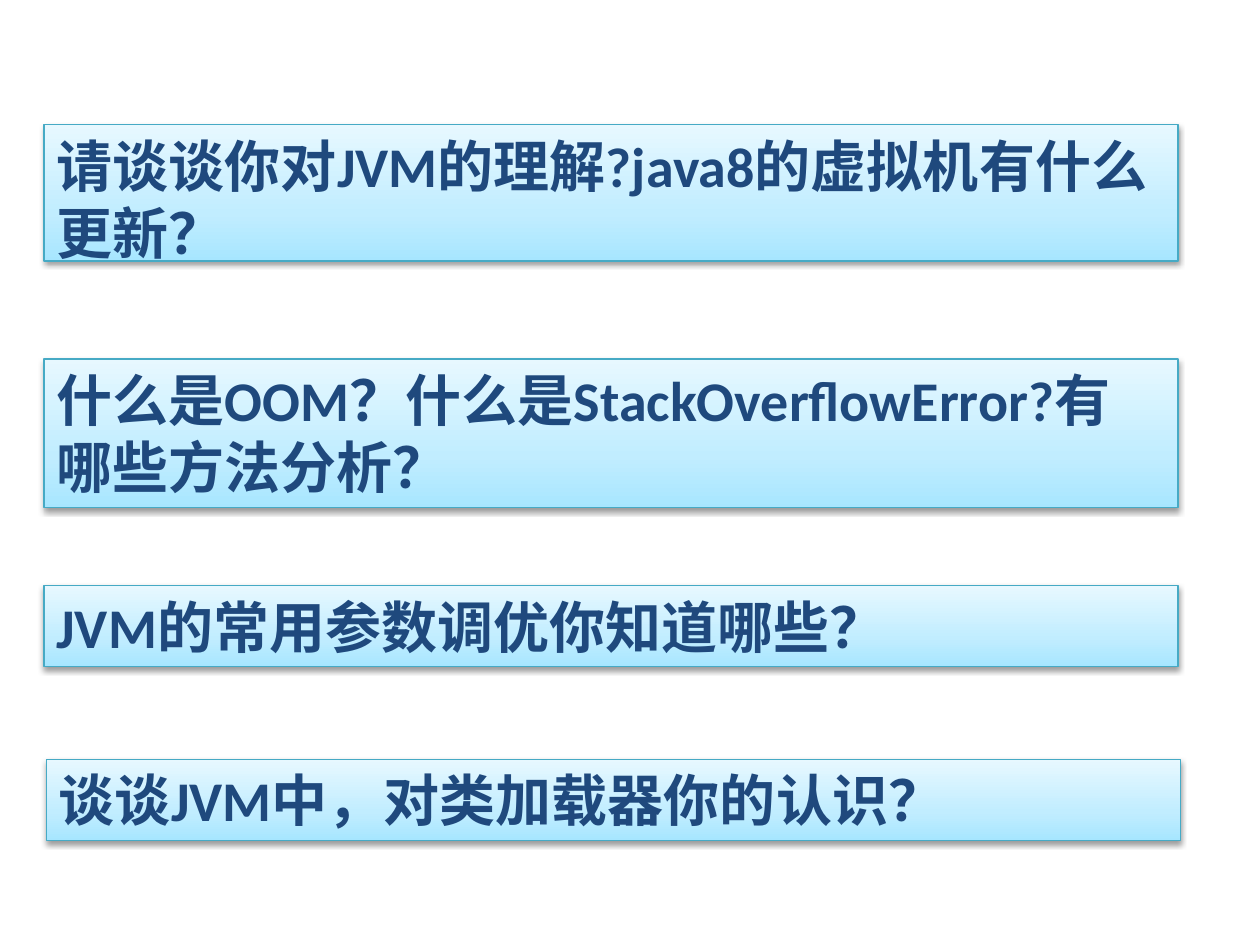
from copy import deepcopy
from dataclasses import dataclass

from pptx import Presentation
from pptx.dml.color import RGBColor as RGB
from pptx.enum.shapes import MSO_SHAPE as Shape
from pptx.enum.text import MSO_ANCHOR as Anchor, MSO_AUTO_SIZE as AutoSize, PP_ALIGN as Align
from pptx.oxml import parse_xml
from pptx.oxml.ns import nsdecls, qn
from pptx.util import Inches, Pt


@dataclass(frozen=True)
class Theme:
    font: str = "Calibri"
    size: int = 32
    text: str = "1F497D"
    line: str = "46AAC5"
    line_width: float = 0.75
    shadow: str = "000000"
    gradient: tuple = ((0, "A7E6FF"), (0.35, "C1EDFF"), (1, "E7F8FF"))


theme = Theme()


def write_text(tf, text, *, font, size, color, bold=True):
    tf.word_wrap = True
    tf.auto_size = AutoSize.SHAPE_TO_FIT_TEXT
    tf.vertical_anchor = Anchor.TOP
    p = tf.paragraphs[0]
    p.alignment = Align.LEFT
    r = p.add_run()
    r.text = text
    r.font.name = font
    r.font.size = Pt(size)
    r.font.bold = bold
    r.font.color.rgb = RGB.from_string(color)
    return p


def style_panel(sp):
    sp.fill.gradient()
    sp.fill.gradient_angle = 90
    stops = sp.fill._fill._gradFill.find(qn("a:gsLst"))
    stops.insert(1, deepcopy(stops[0]))
    for stop, (position, color) in zip(sp.fill.gradient_stops, theme.gradient):
        stop.position = position
        stop.color.rgb = RGB.from_string(color)
    sp.line.color.rgb = RGB.from_string(theme.line)
    sp.line.width = Pt(theme.line_width)
    effects = parse_xml(
        f'<a:effectLst {nsdecls("a")}>'
        f'<a:outerShdw blurRad="{Pt(3.1)}" dist="{Pt(1.6)}" dir="5400000" rotWithShape="0">'
        f'<a:srgbClr val="{theme.shadow}"><a:alpha val="38000"/></a:srgbClr>'
        '</a:outerShdw></a:effectLst>'
    )
    sp._element.spPr.append(effects)


prs = Presentation()
prs.slide_width, prs.slide_height = Inches(10), Inches(7.5)
s = prs.slides.add_slide(prs.slide_layouts[1])
title = s.shapes.title._element
title.getparent().remove(title)
body = s.placeholders[1]

questions = [
    ("请谈谈你对JVM的理解?java8的虚拟机有什么更新？", 0.35, 0.99, 1.18),
    ("什么是OOM？什么是StackOverflowError?有哪些方法分析？", 0.35, 2.85, 1.18),
    ("JVM的常用参数调优你知道哪些？", 0.35, 4.65, 0.64),
    ("谈谈JVM中，对类加载器你的认识？", 0.37, 6.03, 0.64),
]

for i, (text, left, top, height) in enumerate(questions):
    box = Inches(left), Inches(top), Inches(9), Inches(height)
    if i == 0:
        sp = body
        sp.left, sp.top, sp.width, sp.height = box
    else:
        sp = s.shapes.add_shape(Shape.RECTANGLE, *box)
    style_panel(sp)
    p = write_text(sp.text_frame, text, font=theme.font, size=theme.size, color=theme.text)
    if i == 0:
        pPr = p._p.get_or_add_pPr()
        pPr.set("marL", "0")
        pPr.set("indent", "0")
        pPr.append(parse_xml(f'<a:buNone {nsdecls("a")}/>'))

prs.save("out.pptx")
